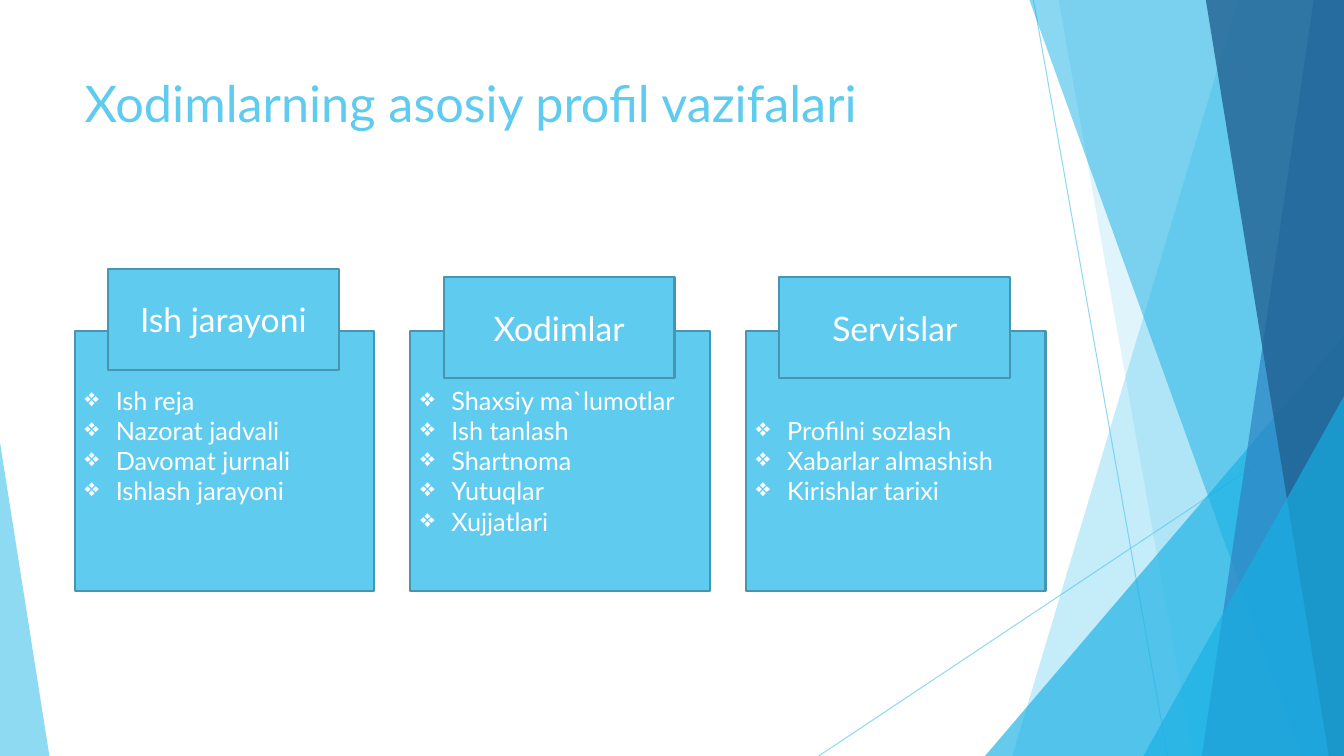
from dataclasses import dataclass

from pptx import Presentation
from pptx import util as u
from pptx.dml.color import RGBColor
from pptx.enum import shapes, text
from pptx.oxml.ns import qn
from lxml import etree

Inches = u.Inches
WIDTH, HEIGHT = 13.33, 7.5


@dataclass(frozen=True)
class Theme:
    font: str = "Lato"
    sky: str = "5FCBEF"
    cyan: str = "17B0E4"
    blue: str = "2E83C3"
    navy: str = "226292"
    outline: str = "4696B1"
    white: str = "FFFFFF"
    title_size: int = 36
    heading_size: int = 24
    item_size: int = 18


THEME = Theme()

CARD_LEFT, CARD_STEP = 0.74, 3.33
CARD_TOP, CARD_WIDTH, CARD_HEIGHT = 3.28, 2.97, 2.58
HEADING_INSET, HEADING_WIDTH, HEADING_HEIGHT = 0.33, 2.29, 1.0
BULLET_INDENT = 0.31

# heading, top of the heading, bottom inset of the card, items
CARDS = [
    ("Ish jarayoni", 2.67, 0.35,
     ["Ish reja", "Nazorat jadvali", "Davomat jurnali", "Ishlash jarayoni"]),
    ("Xodimlar", 2.75, 0.05,
     ["Shaxsiy ma`lumotlar", "Ish tanlash", "Shartnoma", "Yutuqlar", "Xujjatlari"]),
    ("Servislar", 2.75, 0.05,
     ["Profilni sozlash", "Xabarlar almashish", "Kirishlar tarixi"]),
]


def rgb(color):
    return RGBColor.from_string(color)


def set_opacity(shape, percent):
    """Apply an opacity to the first colour of a shape or connector."""
    color = shape._element.spPr.find(".//" + qn("a:srgbClr"))
    etree.SubElement(color, qn("a:alpha"), val=str(percent * 1000))


def add_ray(slide, start, end):
    ray = slide.shapes.add_connector(
        shapes.MSO_CONNECTOR.STRAIGHT, *map(Inches, start + end))
    ray.line.color.rgb = rgb(THEME.sky)
    ray.line.width = u.Pt(0.75)
    set_opacity(ray, 70)
    etree.SubElement(ray._element.spPr, qn("a:effectLst"))


def paint_facet(shape, color, opacity):
    shape.shadow.inherit = False
    shape.fill.solid()
    shape.fill.fore_color.rgb = rgb(color)
    shape.line.fill.background()
    set_opacity(shape, opacity)


def add_band(slide, top_x, bottom_x, color, opacity):
    """Fill from a slanted left edge to the right side of the slide."""
    corners = [(WIDTH, 0), (WIDTH, HEIGHT), (bottom_x, HEIGHT)]
    builder = slide.shapes.build_freeform(Inches(top_x), 0)
    builder.add_line_segments([(Inches(x), Inches(y)) for x, y in corners])
    paint_facet(builder.convert_to_shape(), color, opacity)


def add_corner(slide, left, top, width, apex, color, opacity):
    """Add a triangle that stands on the bottom edge of the slide."""
    corner = slide.shapes.add_shape(
        shapes.MSO_SHAPE.ISOSCELES_TRIANGLE,
        Inches(left), Inches(top), Inches(width), Inches(HEIGHT - top))
    corner.adjustments[0] = apex
    paint_facet(corner, color, opacity)


def add_background(slide):
    add_ray(slide, (10.25, 0), (11.58, HEIGHT))
    add_ray(slide, (WIDTH, 4.03), (8.12, HEIGHT))
    add_band(slide, 12.28, 10.04, THEME.sky, 36)
    add_band(slide, 10.5, 11.83, THEME.sky, 20)
    add_corner(slide, 9.77, 3.33, 3.56, 1, THEME.cyan, 66)
    add_band(slide, 10.21, 12.91, THEME.cyan, 50)
    add_band(slide, 13.03, 11.92, THEME.blue, 70)
    add_band(slide, 11.96, 13.18, THEME.navy, 80)
    add_corner(slide, 11.34, 3.93, 1.99, 1, THEME.cyan, 66)
    add_corner(slide, 0, 4.39, 0.49, 0, THEME.sky, 70)


def add_text(paragraph, words, size, color, alignment=text.PP_ALIGN.LEFT):
    paragraph.alignment = alignment
    run = paragraph.add_run()
    run.text = words
    run.font.name = THEME.font
    run.font.size = u.Pt(size)
    run.font.color.rgb = rgb(color)


def add_bullet(paragraph):
    properties = paragraph._p.get_or_add_pPr()
    properties.set("marL", str(Inches(BULLET_INDENT)))
    properties.set("indent", str(-Inches(BULLET_INDENT)))
    etree.SubElement(properties, qn("a:buChar"), char="❖")


def add_box(slide, left, top, width, height):
    box = slide.shapes.add_shape(
        shapes.MSO_SHAPE.RECTANGLE, *map(Inches, (left, top, width, height)))
    box.shadow.inherit = False
    box.fill.solid()
    box.fill.fore_color.rgb = rgb(THEME.sky)
    box.line.color.rgb = rgb(THEME.outline)
    box.line.width = u.Pt(1.5)
    box.text_frame.word_wrap = True
    box.text_frame.vertical_anchor = text.MSO_ANCHOR.MIDDLE
    return box


def add_card(slide, left, heading, heading_top, bottom_inset, items):
    card = add_box(slide, left, CARD_TOP, CARD_WIDTH, CARD_HEIGHT)
    frame = card.text_frame
    frame.margin_bottom = Inches(bottom_inset)
    for index, item in enumerate(items):
        paragraph = frame.add_paragraph() if index else frame.paragraphs[0]
        add_text(paragraph, item, THEME.item_size, THEME.white)
        add_bullet(paragraph)
    label = add_box(slide, left + HEADING_INSET, heading_top,
                    HEADING_WIDTH, HEADING_HEIGHT)
    add_text(label.text_frame.paragraphs[0], heading, THEME.heading_size,
             THEME.white, text.PP_ALIGN.CENTER)


def set_title(slide, words):
    title = slide.shapes.title
    title.left, title.top = Inches(0.74), Inches(0.67)
    title.width, title.height = Inches(9.4), Inches(1.44)
    title.text_frame.word_wrap = True
    title.text_frame.vertical_anchor = text.MSO_ANCHOR.TOP
    add_text(title.text_frame.paragraphs[0], words, THEME.title_size, THEME.sky)


def main():
    presentation = Presentation()
    presentation.slide_width = Inches(WIDTH)
    presentation.slide_height = Inches(HEIGHT)
    slide = presentation.slides.add_slide(presentation.slide_layouts[5])
    add_background(slide)
    set_title(slide, "Xodimlarning asosiy profil vazifalari")
    for column, card in enumerate(CARDS):
        add_card(slide, CARD_LEFT + column * CARD_STEP, *card)
    presentation.save("out.pptx")


if __name__ == "__main__":
    main()
